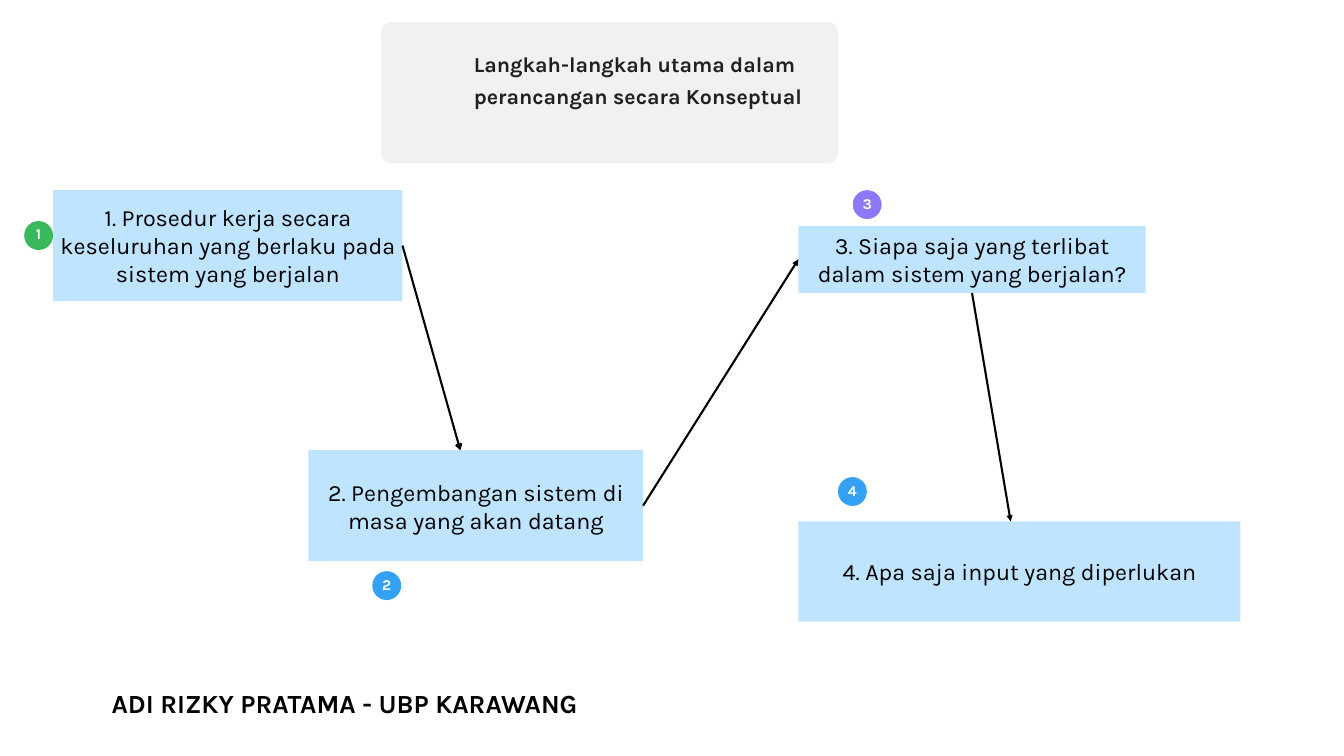
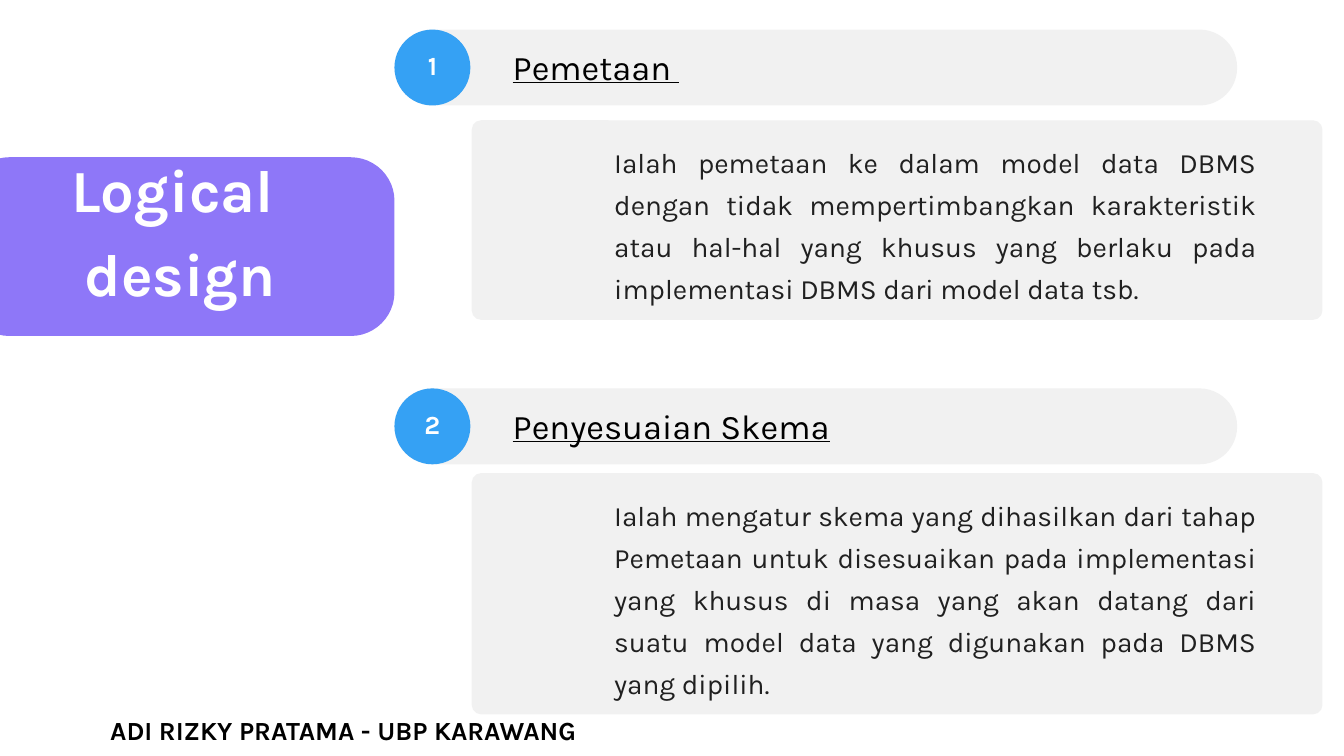
from lxml import etree
from pptx import Presentation, util as u
from pptx.dml.color import RGBColor
from pptx.enum import shapes, text
from pptx.oxml import ns

COLUMNS, ROWS = 20, 11.25
WIDTH, HEIGHT = u.Inches(20), u.Inches(11.25)
FONT = "Karla"
BLACK, INK, WHITE = "000000", "202020", "FFFFFF"
PANEL, SKY, BLUE, GREEN, PURPLE = "F1F1F1", "BFE4FF", "35A1F4", "3AB85C", "8E77F8"
FOOTER = "ADI RIZKY PRATAMA - UBP KARAWANG"
KIND, ALIGN, ANCHOR = shapes.MSO_SHAPE, text.PP_ALIGN, text.MSO_ANCHOR
TOP, LEFT, BOTTOM, RIGHT = range(4)

STEPS = [
    ("1. Prosedur kerja secara keseluruhan yang berlaku pada sistem yang berjalan",
     (0.79, 2.83, 5.2, 1.65), (0.36, 3.29), GREEN),
    ("2. Pengembangan sistem di masa yang akan datang",
     (4.59, 6.7, 4.98, 1.65), (5.54, 8.5), BLUE),
    ("3. Siapa saja yang terlibat dalam sistem yang berjalan?",
     (11.88, 3.36, 5.17, 1), (12.69, 2.83), PURPLE),
    ("4. Apa saja input yang diperlukan",
     (11.88, 7.76, 6.58, 1.49), (12.47, 7.1), BLUE),
]
ARROWS = [(0, RIGHT, (6.85, 6.7), "arrow"),
          (1, RIGHT, (11.88, 3.86), "triangle"),
          (2, BOTTOM, (15.04, 7.76), "triangle")]
PHASES = [
    ("Pemetaan ", 0.44, 1.79, 2.97,
     "Ialah pemetaan ke dalam model data DBMS dengan tidak mempertimbangkan "
     "karakteristik atau hal-hal yang khusus yang berlaku pada implementasi "
     "DBMS dari model data tsb."),
    ("Penyesuaian Skema", 5.78, 7.04, 3.59,
     "Ialah mengatur skema yang dihasilkan dari tahap Pemetaan untuk "
     "disesuaikan pada implementasi yang khusus di masa yang akan datang dari "
     "suatu model data yang digunakan pada DBMS yang dipilih."),
]


def rgb(value):
    """Turn a hex string into a colour."""
    return RGBColor.from_string(value)


def grid(*lengths):
    """Convert alternating columns and rows into slide lengths."""
    units = (WIDTH / COLUMNS, HEIGHT / ROWS)
    return [round(length * units[i % 2]) for i, length in enumerate(lengths)]


def write(box, words, size, leading, color=BLACK, bold=False, underline=False,
          align=ALIGN.LEFT, anchor=ANCHOR.TOP, inset=0, tracking=0):
    """Fill a shape with formatted text, one paragraph per line."""
    frame = box.text_frame
    frame.word_wrap, frame.auto_size = True, text.MSO_AUTO_SIZE.NONE
    frame.vertical_anchor = anchor
    frame.margin_left = frame.margin_right = u.Inches(inset)
    frame.margin_top = frame.margin_bottom = u.Inches(inset)
    for i, line in enumerate(words.split("\n")):
        para = frame.add_paragraph() if i else frame.paragraphs[0]
        para.alignment, para.line_spacing = align, u.Pt(leading)
        para.space_before = u.Pt(0)
        span = para.add_run()
        span.text = line
        font = span.font
        font.name, font.size, font.bold = FONT, u.Pt(size), bold
        font.underline, font.color.rgb = underline, rgb(color)
        if tracking:
            font._element.set("spc", str(round(tracking * 100)))


def add_block(page, kind, area, color, radius=None):
    """Draw a flat filled shape, optionally with rounded corners."""
    block = page.shapes.add_shape(kind, *grid(*area))
    block.shadow.inherit = False
    block.fill.solid()
    block.fill.fore_color.rgb = rgb(color)
    block.line.fill.background()
    if radius:
        block.adjustments[0] = radius / min(area[2:])
    return block


def add_panel(page, area, color=PANEL, radius=0.14):
    """Draw a rounded panel."""
    return add_block(page, KIND.ROUNDED_RECTANGLE, area, color, radius)


def add_badge(page, number, left, top, diameter, size, color=BLUE):
    """Draw a numbered circle."""
    badge = add_block(page, KIND.OVAL, (left, top, diameter, diameter), color)
    write(badge, str(number), size, size, WHITE, bold=True, align=ALIGN.CENTER,
          anchor=ANCHOR.MIDDLE, tracking=-size / 50)


def add_label(page, words, area, size, leading, **style):
    """Place a text box."""
    write(page.shapes.add_textbox(*grid(*area)), words, size, leading, **style)


def add_title(page, words, area, size, leading, **style):
    """Move the title placeholder in front of its panel and fill it."""
    title = page.shapes.title
    title.left, title.top, title.width, title.height = grid(*area)
    page.shapes.element.append(title.element)
    write(title, words, size, leading, bold=True, **style)


def add_arrow(page, box, site, end, head):
    """Draw an arrow from a side of a box to a point."""
    arrow = page.shapes.add_connector(shapes.MSO_CONNECTOR.STRAIGHT, 0, 0, *grid(*end))
    arrow.begin_connect(box, site)
    arrow.line.color.rgb, arrow.line.width = rgb(BLACK), u.Pt(2.25)
    etree.SubElement(arrow.line._get_or_add_ln(), ns.qn("a:tailEnd"), type=head)
    etree.SubElement(arrow.element.spPr, ns.qn("a:effectLst"))


def add_footer(page, left, top):
    """Place the author line."""
    add_label(page, FOOTER, (left, top, 12.63, 0.53), 28, 39.2, bold=True)


def build_steps(page):
    """Build the flow of conceptual design steps."""
    add_panel(page, (5.67, 0.33, 6.8, 2.1), radius=0.15)
    add_title(page, "Langkah-langkah utama dalam perancangan secara Konseptual",
              (7.05, 0.67, 4.94, 1.36), 22.9, 34.4, color=INK)
    boxes = []
    for number, (words, area, spot, color) in enumerate(STEPS, 1):
        box = add_block(page, KIND.RECTANGLE, area, SKY)
        write(box, words, 25, 30, align=ALIGN.CENTER, anchor=ANCHOR.MIDDLE, inset=0.06)
        add_badge(page, number, *spot, 0.43, 16, color)
        boxes.append(box)
    for start, site, end, head in ARROWS:
        add_arrow(page, boxes[start], site, end, head)
    add_footer(page, 1.66, 10.15)


def build_logical(page):
    """Build the two phases of logical design."""
    add_panel(page, (-0.51, 2.34, 6.38, 2.66), PURPLE, 0.65)
    add_title(page, "Logical \ndesign", (-0.51, 1.69, 6.38, 3.31), 64, 89.6,
              color=WHITE, align=ALIGN.CENTER, anchor=ANCHOR.MIDDLE, inset=0.06)
    for number, (heading, top, panel_top, height, words) in enumerate(PHASES, 1):
        add_panel(page, (5.87, top, 12.54, 1.13), radius=0.56)
        add_badge(page, number, 5.87, top, 1.13, 28)
        add_label(page, heading, (7.63, top + 0.14, 6.36, 0.68), 37, 51.9, underline=True)
        add_panel(page, (7.02, panel_top, 12.66, height))
        add_label(page, words, (9.14, panel_top + 0.25, 9.56, height - 0.57), 30, 45,
                  color=INK, align=ALIGN.JUSTIFY)
    add_footer(page, 1.64, 10.56)


def main():
    """Build and save the deck."""
    deck = Presentation()
    deck.slide_width, deck.slide_height = WIDTH, HEIGHT
    for build in (build_steps, build_logical):
        build(deck.slides.add_slide(deck.slide_layouts[5]))
    deck.save("out.pptx")


if __name__ == "__main__":
    main()
